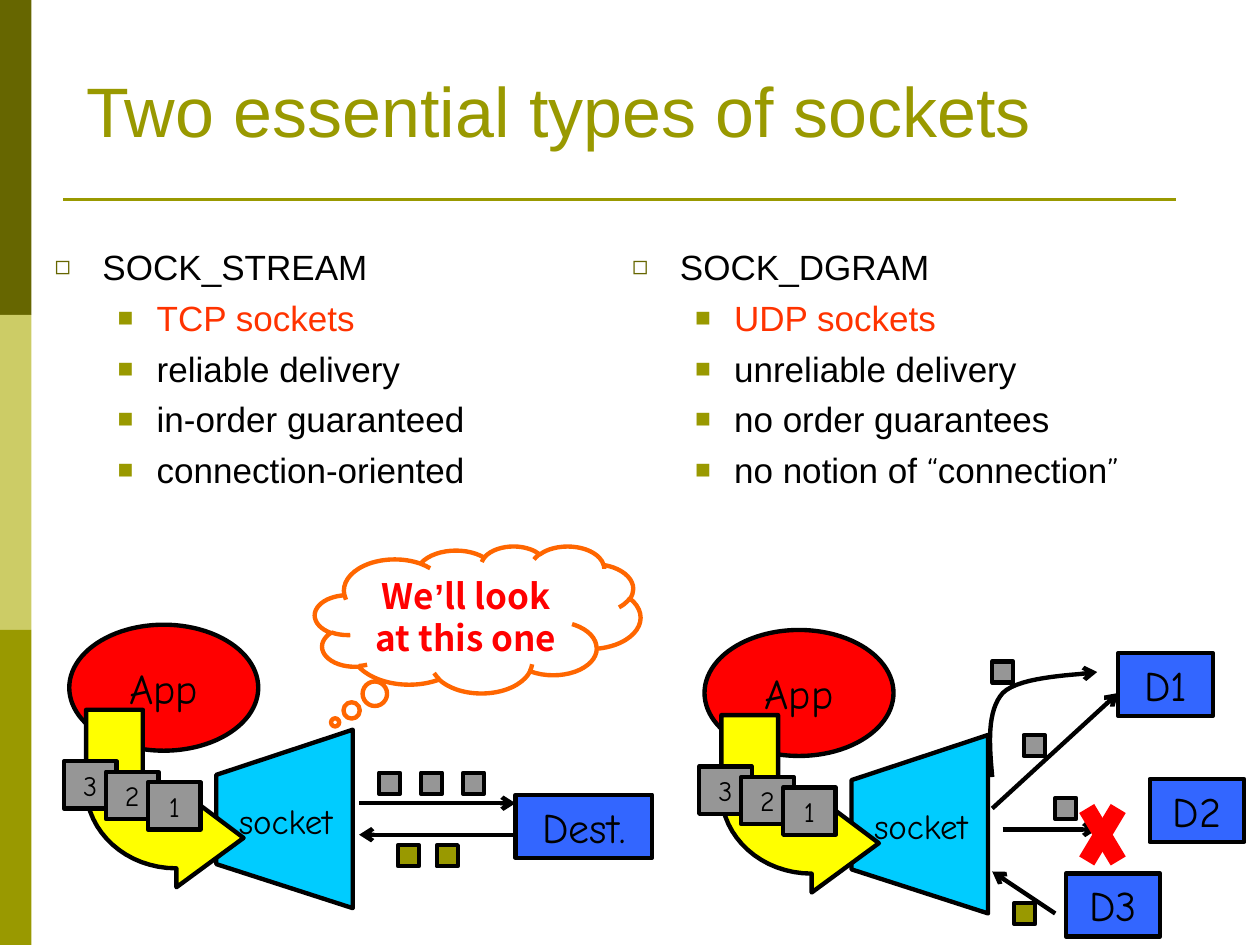
import dataclasses

import lxml.etree
import pptx
import pptx.dml.color
import pptx.enum.shapes
import pptx.enum.text
import pptx.oxml.ns
import pptx.util

SHAPE = pptx.enum.shapes.MSO_SHAPE
ANCHOR = pptx.enum.text.MSO_ANCHOR
ALIGN = pptx.enum.text.PP_ALIGN
qn = pptx.oxml.ns.qn


@dataclasses.dataclass(frozen=True)
class Theme:
    olive: str = "999900"
    dark_olive: str = "666600"
    pale_olive: str = "CCCC66"
    black: str = "000000"
    accent: str = "FF3300"
    red: str = "FF0000"
    orange: str = "FF6600"
    yellow: str = "FFFF00"
    cyan: str = "00CCFF"
    blue: str = "3366FF"
    gray: str = "969696"
    sans: str = "Arial"
    hand: str = "Comic Neue"
    callout: str = "Noto Sans CJK KR"
    title_size: int = 40
    label_size: int = 24
    body_size: int = 20
    packet_size: int = 16
    stroke: float = 2.5


THEME = Theme()
CELL = pptx.util.Inches(10) // 120  # the slide is a grid of 120 columns by 90 rows


def color(code):
    return pptx.dml.color.RGBColor.from_string(code)


class Region:
    """Draws parts at grid positions relative to its own corner."""

    def __init__(self, shapes, column, row):
        self.shapes, self.column, self.row = shapes, column, row

    def point(self, column, row):
        return round((self.column + column) * CELL), round((self.row + row) * CELL)

    def box(self, column, row, columns, rows):
        return (*self.point(column, row), round(columns * CELL), round(rows * CELL))

    def shape(self, kind, box, fill=None, line=THEME.black):
        shape = self.shapes.add_shape(kind, *self.box(*box))
        paint(shape, fill, line)
        return shape

    def label(self, box, text, size):
        textbox = self.shapes.add_textbox(*self.box(*box))
        write_label(textbox, text, size)

    def line(self, start, end, stroke=THEME.black, width=THEME.stroke, arrow=True):
        connector = self.shapes.add_connector(
            pptx.enum.shapes.MSO_CONNECTOR.STRAIGHT, *self.point(*start), *self.point(*end))
        connector.line.color.rgb = color(stroke)
        connector.line.width = pptx.util.Pt(width)
        lxml.etree.SubElement(connector._element.spPr, qn("a:effectLst"))
        if arrow:
            add_arrowhead(connector)

    def outline(self, points, fill=None, close=True):
        corners = [self.point(*point) for point in points]
        builder = self.shapes.build_freeform(*corners[0])
        builder.add_line_segments(corners[1:], close=close)
        shape = builder.convert_to_shape()
        paint(shape, fill, THEME.black)
        return shape

    def packets(self, places, fill=THEME.gray):
        for place in places:
            self.shape(SHAPE.RECTANGLE, (*place, 2, 2), fill)

    def host(self, box, name):
        write_label(self.shape(SHAPE.RECTANGLE, box, THEME.blue), name, THEME.label_size)


def paint(shape, fill, line):
    shape.shadow.inherit = False
    if fill:
        shape.fill.solid()
        shape.fill.fore_color.rgb = color(fill)
    else:
        shape.fill.background()
    if line:
        shape.line.color.rgb = color(line)
        shape.line.width = pptx.util.Pt(THEME.stroke)
    else:
        shape.line.fill.background()


def add_arrowhead(shape):
    line = shape._element.spPr.find(qn("a:ln"))
    lxml.etree.SubElement(line, qn("a:tailEnd"), type="arrow")


def curve(start, first, second, end, steps=16):
    """Points along a cubic curve."""
    return [tuple((1 - t) ** 3 * a + 3 * (1 - t) ** 2 * t * b + 3 * (1 - t) * t ** 2 * c + t ** 3 * d
                  for a, b, c, d in zip(start, first, second, end))
            for t in (step / steps for step in range(steps + 1))]


def style(run, font, size, code, bold=False):
    run.font.name, run.font.size, run.font.bold = font, pptx.util.Pt(size), bold
    run.font.color.rgb = color(code)


def write_runs(paragraph, pieces, size, code, bold=False):
    for text, font in pieces:
        run = paragraph.add_run()
        run.text = text
        style(run, font, size, code, bold)


def write_label(shape, text, size):
    frame = shape.text_frame
    frame.word_wrap, frame.vertical_anchor = True, ANCHOR.MIDDLE
    frame.text = text
    frame.paragraphs[0].alignment = ALIGN.CENTER
    style(frame.paragraphs[0].runs[0], THEME.hand, size, THEME.black)


def place(shape, box):
    shape.left, shape.top, shape.width, shape.height = box


def add_bullet(paragraph, character, code, margin, indent):
    properties = paragraph._p.get_or_add_pPr()
    properties.set("marL", str(pptx.util.Inches(margin)))
    properties.set("indent", str(-pptx.util.Inches(indent)))
    bullet_color = lxml.etree.SubElement(properties, qn("a:buClr"))
    lxml.etree.SubElement(bullet_color, qn("a:srgbClr"), val=code)
    lxml.etree.SubElement(properties, qn("a:buSzPct"), val="75000")
    lxml.etree.SubElement(properties, qn("a:buChar"), char=character)


def draw_frame(page):
    for index, fill in enumerate((THEME.dark_olive, THEME.pale_olive, THEME.olive)):
        page.shape(SHAPE.RECTANGLE, (0, 30 * index, 3, 30), fill, None)
    page.line((6, 19), (112, 19), THEME.olive, 1.5, arrow=False)


def fill_title(title, box):
    place(title, box)
    frame = title.text_frame
    frame.auto_size = pptx.enum.text.MSO_AUTO_SIZE.NONE
    frame.vertical_anchor = ANCHOR.BOTTOM
    frame.text = "Two essential types of sockets"
    frame.paragraphs[0].alignment = ALIGN.LEFT
    style(frame.paragraphs[0].runs[0], THEME.sans, THEME.title_size, THEME.olive)


def fill_list(body, box, items):
    """The first item is the heading, the second is highlighted."""
    place(body, box)
    frame = body.text_frame
    frame.auto_size = pptx.enum.text.MSO_AUTO_SIZE.NONE
    for index, item in enumerate(items):
        paragraph = frame.add_paragraph() if index else frame.paragraphs[0]
        paragraph.space_before = pptx.util.Pt(5)
        if index:
            paragraph.level = 1
            add_bullet(paragraph, "■", THEME.olive, 0.81, 0.31)
        else:
            add_bullet(paragraph, "◻", THEME.dark_olive, 0.38, 0.38)
        pieces = [(item, THEME.sans)] if isinstance(item, str) else item
        write_runs(paragraph, pieces, THEME.body_size, THEME.accent if index == 1 else THEME.black)


def draw_sender(region):
    # Application and socket
    region.shape(SHAPE.OVAL, (0, 0, 18, 12), THEME.red)
    region.label((-0.5, 3, 19, 6), "App", THEME.label_size)
    region.outline([(27, 10), (14, 14.3), (14, 22.8), (27, 27)], THEME.cyan)
    region.label((9.6, 16, 22, 5.3), "socket", THEME.body_size)
    # Bent arrow from application to socket
    outer = curve((10.2, 23.2), (5.4, 23.2), (1.6, 19.7), (1.6, 15.5))
    inner = curve((7, 15.5), (7, 16.5), (8.4, 17.3), (10.2, 17.3))
    region.outline([(16.6, 20.3), (10.2, 25), *outer, (1.6, 8.1), (7, 8.1), *inner, (10.2, 15.5)],
                   THEME.yellow)
    # Queued packets
    for index, number in enumerate("321"):
        packet = region.shape(SHAPE.RECTANGLE, (4 * index - 0.5, 13 + index, 5, 4.5), THEME.gray)
        write_label(packet, number, THEME.packet_size)


def draw_stream(region):
    draw_sender(region)
    region.packets([(29.5 + 4 * index, 14.1) for index in range(3)])
    region.line((27.6, 17), (42.5, 17))
    region.host((42.5, 16.2, 13, 6), "Dest.")
    region.line((42.5, 20), (27.6, 20))
    region.packets([(31.3 + 3.7 * index, 21) for index in range(2)], THEME.olive)


def draw_datagram(region):
    draw_sender(region)
    region.packets([(27.4, 3), (30.4, 10), (33.4, 16)])
    region.line((27.4, 17), (39.4, 6))
    for name, column, row in (("D1", 39.4, 2.2), ("D3", 34.4, 23.2), ("D2", 42.4, 14.2)):
        region.host((column, row, 9, 6), name)
    # Curved route
    bend = (28.4, 6)
    route = (curve((27.4, 14), (27.1, 10.8), (26.9, 7.7), bend)
             + curve(bend, (30.1, 4.3), (36, 4.3), (37.4, 4))[1:])
    add_arrowhead(region.outline(route, close=False))
    # Lost packet
    region.line((28.4, 19), (37.4, 19))
    for start, end in ((36.4, 39.4), (39.4, 36.4)):
        region.line((start, 17), (end, 22), THEME.red, 10, arrow=False)
    # Reply
    region.line((33.4, 27), (27.4, 23))
    region.packets([(29.5, 26)], THEME.olive)


def draw_callout(page, box):
    cloud = page.shape(SHAPE.CLOUD_CALLOUT, box, line=THEME.orange)
    cloud.adjustments[0], cloud.adjustments[1] = -0.438, 0.7
    frame = cloud.text_frame
    frame.word_wrap, frame.vertical_anchor = True, ANCHOR.MIDDLE
    frame.paragraphs[0].alignment = ALIGN.CENTER
    pieces = [("We", THEME.callout), ("’", THEME.sans), ("ll look at this one", THEME.callout)]
    write_runs(frame.paragraphs[0], pieces, THEME.body_size, THEME.red, bold=True)


def main():
    presentation = pptx.Presentation()
    presentation.slide_width, presentation.slide_height = 120 * CELL, 90 * CELL
    slide = presentation.slides.add_slide(presentation.slide_layouts[3])
    page = Region(slide.shapes, 0, 0)
    title, stream_list, datagram_list = slide.placeholders
    draw_frame(page)
    fill_title(title, page.box(7, 0, 102, 15))
    fill_list(stream_list, page.box(4, 22.8, 50, 61),
              ["SOCK_STREAM", "TCP sockets", "reliable delivery", "in-order guaranteed",
               "connection-oriented"])
    fill_list(datagram_list, page.box(59, 22.8, 57, 61),
              ["SOCK_DGRAM", "UDP sockets", "unreliable delivery", "no order guarantees",
               [("no notion of ", THEME.sans), ("“", THEME.hand), ("connection", THEME.sans),
                ("”", THEME.hand)]])
    draw_stream(Region(slide.shapes.add_group_shape().shapes, 6.6, 59.5))
    draw_datagram(Region(slide.shapes.add_group_shape().shapes, 67.1, 60))
    draw_callout(page, (30, 52, 31, 14))
    presentation.save("out.pptx")


if __name__ == "__main__":
    main()
